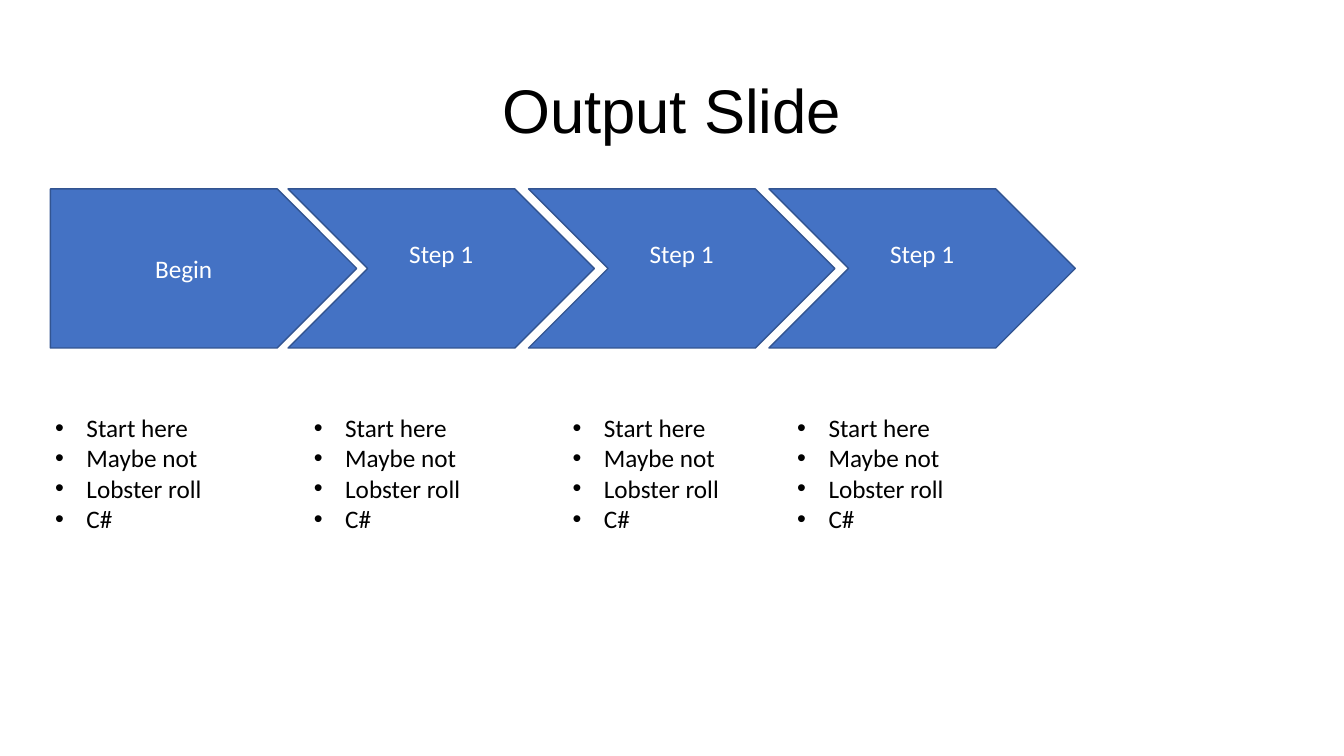
from dataclasses import dataclass

from lxml import etree
from pptx import Presentation
from pptx.dml.color import RGBColor
from pptx.enum.shapes import MSO_SHAPE
from pptx.enum.text import MSO_ANCHOR, MSO_AUTO_SIZE, PP_ALIGN
from pptx.oxml.ns import qn
from pptx.util import Cm, Pt

PENTAGON, CHEVRON = MSO_SHAPE.PENTAGON, MSO_SHAPE.CHEVRON
MIDDLE = MSO_ANCHOR.MIDDLE
CENTER, LEFT = PP_ALIGN.CENTER, PP_ALIGN.LEFT
FIT_SHAPE = MSO_AUTO_SIZE.SHAPE_TO_FIT_TEXT


@dataclass(frozen=True)
class Theme:
    text: RGBColor = RGBColor(0x00, 0x00, 0x00)
    on_fill: RGBColor = RGBColor(0xFF, 0xFF, 0xFF)
    fill: RGBColor = RGBColor(0x44, 0x72, 0xC4)
    line: RGBColor = RGBColor(0x32, 0x54, 0x91)
    line_width: Pt = Pt(1)
    title_font: str = "Arial"
    body_font: str = "Calibri"
    title_size: Pt = Pt(44)
    body_size: Pt = Pt(18)


class SlideBuilder:
    def __init__(self, slide, theme):
        self.s = slide
        self.theme = theme

    def add_text(self, p, text, font, size, color, align):
        p.alignment = align
        r = p.add_run()
        r.text = text
        r.font.name = font
        r.font.size = size
        r.font.color.rgb = color

    def title(self, text, left, top, width, height):
        t = self.theme
        tf = self.s.shapes.add_textbox(left, top, width, height).text_frame
        tf.word_wrap = True
        tf.vertical_anchor = MIDDLE
        p = tf.paragraphs[0]
        p.line_spacing = 0.9
        self.add_text(p, text, t.title_font, t.title_size, t.text, CENTER)

    def step(self, kind, text, left, top, width, height, bottom_inset):
        t = self.theme
        sp = self.s.shapes.add_shape(kind, left, top, width, height)
        sp.shadow.inherit = False
        sp.fill.solid()
        sp.fill.fore_color.rgb = t.fill
        sp.line.color.rgb = t.line
        sp.line.width = t.line_width
        tf = sp.text_frame
        tf.vertical_anchor = MIDDLE
        tf.margin_bottom = bottom_inset
        self.add_text(tf.paragraphs[0], text, t.body_font, t.body_size, t.on_fill, CENTER)

    def bullets(self, items, left, top, width, height):
        t = self.theme
        tf = self.s.shapes.add_textbox(left, top, width, height).text_frame
        tf.word_wrap = False
        tf.auto_size = FIT_SHAPE
        for i, item in enumerate(items):
            p = tf.add_paragraph() if i else tf.paragraphs[0]
            self.add_text(p, item, t.body_font, t.body_size, t.text, LEFT)
            self.add_bullet(p, Cm(0.79))

    def add_bullet(self, p, indent):
        """Give the paragraph a round bullet on a hanging indent."""
        props = p._p.get_or_add_pPr()
        props.set("marL", str(indent))
        props.set("indent", str(-indent))
        etree.SubElement(props, qn("a:buFont")).set("typeface", "Arial")
        etree.SubElement(props, qn("a:buChar")).set("char", "•")


def main():
    prs = Presentation()
    prs.slide_width, prs.slide_height = Cm(33.87), Cm(19.05)
    slide = SlideBuilder(prs.slides.add_slide(prs.slide_layouts[6]), Theme())

    slide.title("Output Slide", Cm(2.33), Cm(1.01), Cm(29.21), Cm(3.68))

    # Step labels sit half a line above the middle of their chevrons.
    centred, raised = Cm(0.13), Cm(0.89)
    columns = [
        (PENTAGON, "Begin", 1.27, centred, 1.14),
        (CHEVRON, "Step 1", 7.26, raised, 7.66),
        (CHEVRON, "Step 1", 13.32, raised, 14.18),
        (CHEVRON, "Step 1", 19.38, raised, 19.84),
    ]
    items = ["Start here", "Maybe not", "Lobster roll", "C#"]
    for kind, label, step_left, inset, list_left in columns:
        slide.step(kind, label, Cm(step_left), Cm(4.76), Cm(7.72), Cm(4.01), inset)
        slide.bullets(items, Cm(list_left), Cm(10.27), Cm(4.24), Cm(3.33))

    prs.save("out.pptx")


if __name__ == "__main__":
    main()
